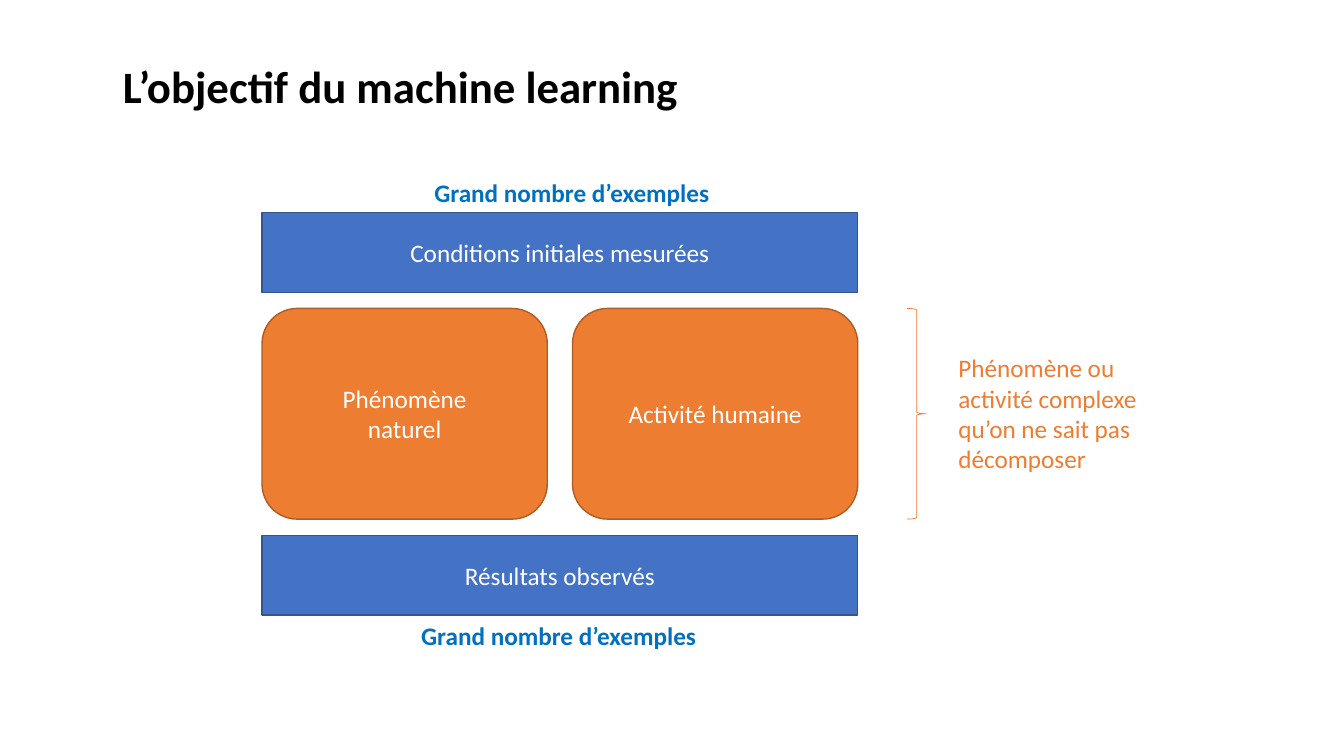
import pptx
import pptx.util
import pptx.dml.color
import pptx.enum.shapes
import pptx.enum.text
from dataclasses import dataclass

SHAPE = pptx.enum.shapes.MSO_SHAPE
ALIGN = pptx.enum.text.PP_ALIGN
SLIDE_W, SLIDE_H = 13.33, 7.5
COLS, ROWS = 160, 90

BLUE, DARK_BLUE, LABEL_BLUE = "4472C4", "325491", "0070C0"
ORANGE, DARK_ORANGE = "ED7D31", "AF5C24"
WHITE, BLACK = "FFFFFF", "000000"

LEFT, BAND_W, BAND_H = 31.2, 70.92, 9.48
BAND_TOP, BOX_W, BOX_H, GAP = 25.32, 33.96, 25.08, 1.92
LABEL_W, LABEL_H = 35.4, 4.8
BOX_TOP = BAND_TOP + BAND_H + GAP
RESULT_TOP = BOX_TOP + BOX_H + GAP
RIGHT_BOX = LEFT + BAND_W - BOX_W


@dataclass
class Area:
    col: float
    row: float
    cols: float
    rows: float


@dataclass
class Block:
    area: Area
    kind: SHAPE
    fill: str
    line: str
    text: str = ""
    weight: float = 1


@dataclass
class Label:
    area: Area
    text: str
    color: str
    size: int = 18
    bold: bool = True
    wrap: bool = False


BLOCKS = [
    Block(Area(LEFT, BAND_TOP, BAND_W, BAND_H), SHAPE.RECTANGLE,
          BLUE, DARK_BLUE, "Conditions initiales mesurées"),
    Block(Area(LEFT, RESULT_TOP, BAND_W, BAND_H), SHAPE.RECTANGLE,
          BLUE, DARK_BLUE, "Résultats observés"),
    Block(Area(LEFT, BOX_TOP, BOX_W, BOX_H), SHAPE.ROUNDED_RECTANGLE,
          ORANGE, DARK_ORANGE, "Phénomène\nnaturel"),
    Block(Area(RIGHT_BOX, BOX_TOP, BOX_W, BOX_H), SHAPE.ROUNDED_RECTANGLE,
          ORANGE, DARK_ORANGE, "Activité humaine"),
    Block(Area(108, BOX_TOP, 2.28, BOX_H), SHAPE.RIGHT_BRACE,
          "", ORANGE, weight=0.5),
]

LABELS = [
    Label(Area(13.44, 6.36, 69.12, 7.68), "L’objectif du machine learning",
          BLACK, size=32),
    Label(Area(50.52, BAND_TOP - LABEL_H, LABEL_W, LABEL_H),
          "Grand nombre d’exemples", LABEL_BLUE),
    Label(Area(48.96, RESULT_TOP + BAND_H, LABEL_W, LABEL_H),
          "Grand nombre d’exemples", LABEL_BLUE),
    Label(Area(112.92, 41.4, 28.08, 15.72),
          "Phénomène ou activité complexe qu’on ne sait pas décomposer",
          ORANGE, bold=False, wrap=True),
]


def rgb(value: str) -> pptx.dml.color.RGBColor:
    return pptx.dml.color.RGBColor.from_string(value)


def place(area: Area) -> list[int]:
    w, h = SLIDE_W / COLS, SLIDE_H / ROWS
    return [pptx.util.Inches(v) for v in
            (area.col * w, area.row * h, area.cols * w, area.rows * h)]


def write(tf, text: str, color: str, align: ALIGN, font: dict) -> None:
    tf.text = text
    for p in tf.paragraphs:
        p.alignment = align
        for r in p.runs:
            r.font.color.rgb = rgb(color)
            for name, value in font.items():
                setattr(r.font, name, value)


def draw_block(s, block: Block) -> None:
    sp = s.shapes.add_shape(block.kind, *place(block.area))
    sp.shadow.inherit = False
    if block.fill:
        sp.fill.solid()
        sp.fill.fore_color.rgb = rgb(block.fill)
    else:
        sp.fill.background()
    sp.line.color.rgb = rgb(block.line)
    sp.line.width = pptx.util.Pt(block.weight)
    if block.text:
        sp.text_frame.vertical_anchor = pptx.enum.text.MSO_ANCHOR.MIDDLE
        write(sp.text_frame, block.text, WHITE, ALIGN.CENTER,
              {"name": "Calibri", "size": pptx.util.Pt(18)})


def draw_label(s, label: Label) -> None:
    tf = s.shapes.add_textbox(*place(label.area)).text_frame
    tf.word_wrap = label.wrap
    tf.auto_size = pptx.enum.text.MSO_AUTO_SIZE.SHAPE_TO_FIT_TEXT
    write(tf, label.text, label.color, ALIGN.LEFT,
          {"name": "Calibri", "size": pptx.util.Pt(label.size),
           "bold": label.bold})


def main() -> None:
    prs = pptx.Presentation()
    prs.slide_width = pptx.util.Inches(SLIDE_W)
    prs.slide_height = pptx.util.Inches(SLIDE_H)
    s = prs.slides.add_slide(prs.slide_layouts[6])
    for block in BLOCKS:
        draw_block(s, block)
    for label in LABELS:
        draw_label(s, label)
    prs.save("out.pptx")


if __name__ == "__main__":
    main()
